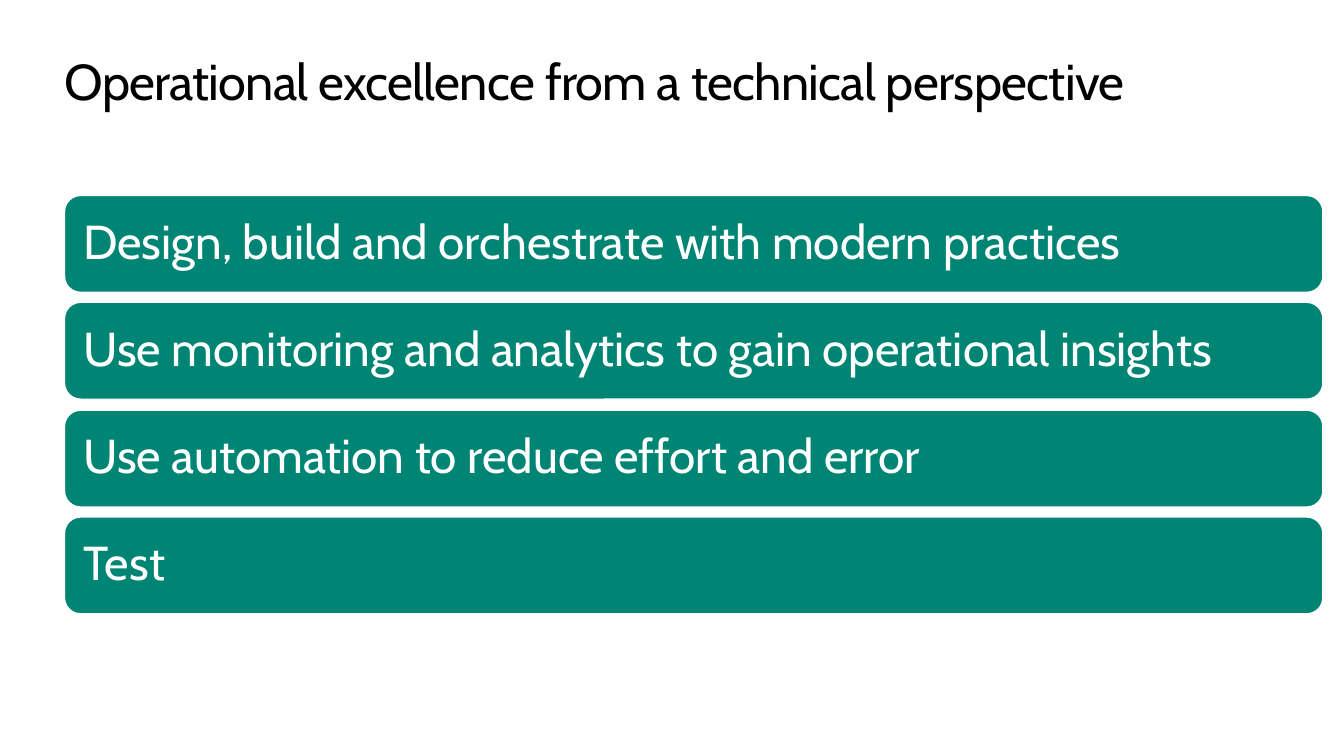
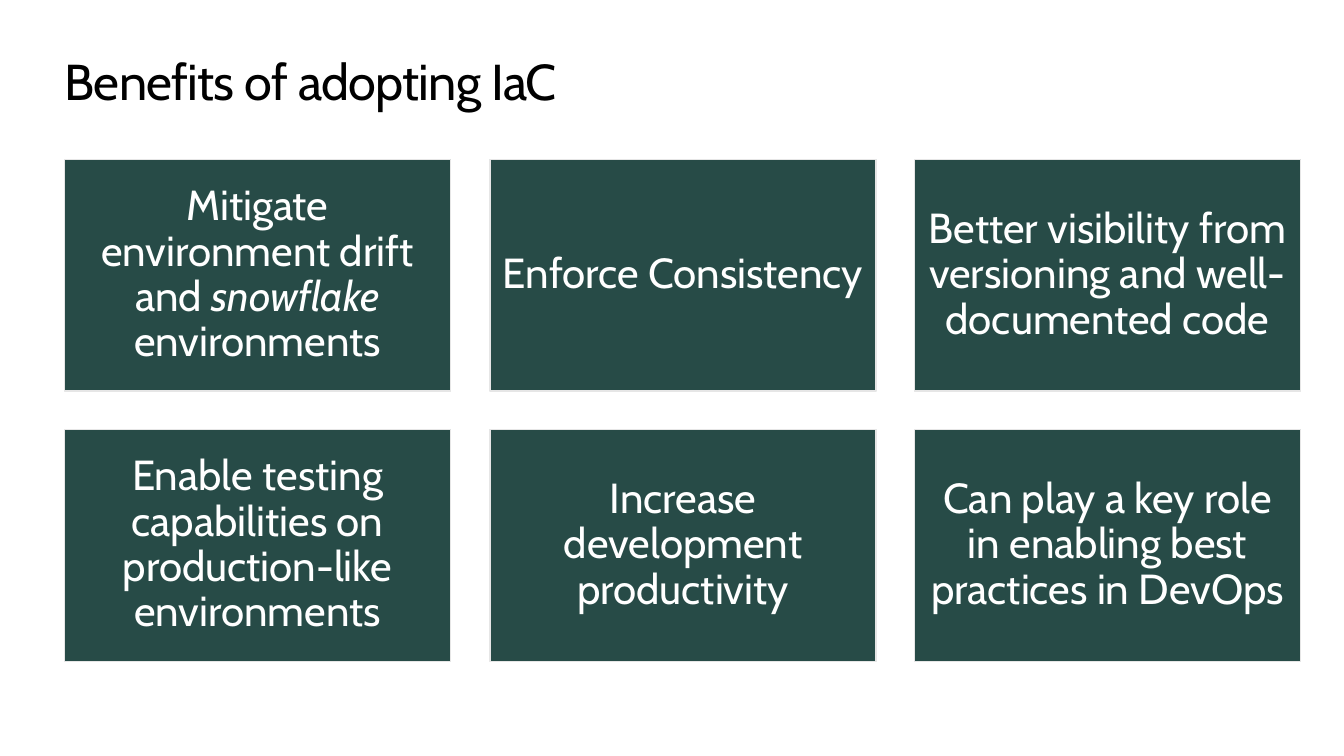
from pptx import Presentation
from pptx.dml.color import RGBColor
from pptx.enum.shapes import MSO_SHAPE as Shape
from pptx.enum.text import MSO_ANCHOR as Anchor, PP_ALIGN as Align
from pptx.util import Emu, Pt

EMU_PER_PX = 9144  # 100 px to the inch


def px(length):
    return Emu(length * EMU_PER_PX)


def color(hex_string):
    return RGBColor.from_string(hex_string)


def spread(first, last, count):
    """Return count evenly spaced whole positions from first to last."""
    return [round(first + (last - first) * i / (count - 1)) for i in range(count)]


def set_attributes(target, values):
    for name, value in values.items():
        setattr(target, name, value)


class Deck:
    WIDTH, HEIGHT = 1333, 750
    LEFT = 64
    FONT = "Cabin"
    BLACK, WHITE = "000000", "FFFFFF"
    TITLE_SIZE = 36
    TITLE_TRACKING = "-50"  # hundredths of a point
    BAR = {"kind": Shape.ROUNDED_RECTANGLE, "fill": "008575", "line": "FFFFFF",
           "size": 34, "align": Align.LEFT, "inset": 14}
    TILE = {"kind": Shape.RECTANGLE, "fill": "274B47", "line": "E6E6E6",
            "size": 30, "align": Align.CENTER, "inset": 12}

    def __init__(self):
        self.presentation = Presentation()
        set_attributes(self.presentation, {
            "slide_width": px(self.WIDTH), "slide_height": px(self.HEIGHT)})
        self.slide = None

    def add_slide(self, title):
        blank_layout = self.presentation.slide_layouts[6]
        self.slide = self.presentation.slides.add_slide(blank_layout)
        self.add_title(title)

    def add_title(self, title):
        box = self.slide.shapes.add_textbox(px(self.LEFT), px(50), px(1205), px(61))
        self.format_frame(box.text_frame, 0, Anchor.TOP)
        run = self.add_run(box.text_frame.paragraphs[0], title, self.TITLE_SIZE, self.BLACK)
        run.font._element.set("spc", self.TITLE_TRACKING)

    def add_card(self, box, runs, style):
        """Add a filled shape whose text is a list of (text, italic) runs."""
        card = self.slide.shapes.add_shape(style["kind"], *map(px, box))
        card.shadow.inherit = False
        card.fill.solid()
        card.fill.fore_color.rgb = color(style["fill"])
        card.line.color.rgb = color(style["line"])
        card.line.width = Pt(0.85)
        self.format_frame(card.text_frame, style["inset"], Anchor.MIDDLE)
        paragraph = card.text_frame.paragraphs[0]
        set_attributes(paragraph, {"alignment": style["align"], "line_spacing": 0.9})
        for text, italic in runs:
            self.add_run(paragraph, text, style["size"], self.WHITE, italic)

    def format_frame(self, frame, inset, anchor):
        set_attributes(frame, {"word_wrap": True, "vertical_anchor": anchor})
        sides = ("left", "top", "right", "bottom")
        set_attributes(frame, {f"margin_{side}": px(inset) for side in sides})

    def add_run(self, paragraph, text, size, text_color, italic=False):
        run = paragraph.add_run()
        run.text = text
        set_attributes(run.font, {"name": self.FONT, "size": Pt(size), "italic": italic})
        run.font.color.rgb = color(text_color)
        return run

    def add_bars(self, texts):
        for top, text in zip(spread(194, 513, len(texts)), texts):
            self.add_card((self.LEFT, top, 1248, 96), [(text, False)], self.BAR)

    def add_tiles(self, rows):
        for top, row in zip(spread(158, 426, len(rows)), rows):
            for left, runs in zip(spread(self.LEFT, 907, len(row)), row):
                self.add_card((left, top, 383, 230), runs, self.TILE)


def main():
    deck = Deck()

    deck.add_slide("Operational excellence from a technical perspective")
    deck.add_bars([
        "Design, build and orchestrate with modern practices",
        "Use monitoring and analytics to gain operational insights",
        "Use automation to reduce effort and error",
        "Test",
    ])

    deck.add_slide("Benefits of adopting IaC")
    deck.add_tiles([
        [
            [("Mitigate environment drift and ", False), ("snowflake", True),
             (" environments", False)],
            [("Enforce Consistency", False)],
            [("Better visibility from versioning and well-documented code", False)],
        ],
        [
            [("Enable testing capabilities on production-like environments", False)],
            [("Increase development productivity", False)],
            [("Can play a key role in enabling best practices in DevOps", False)],
        ],
    ])

    deck.presentation.save("out.pptx")


if __name__ == "__main__":
    main()
